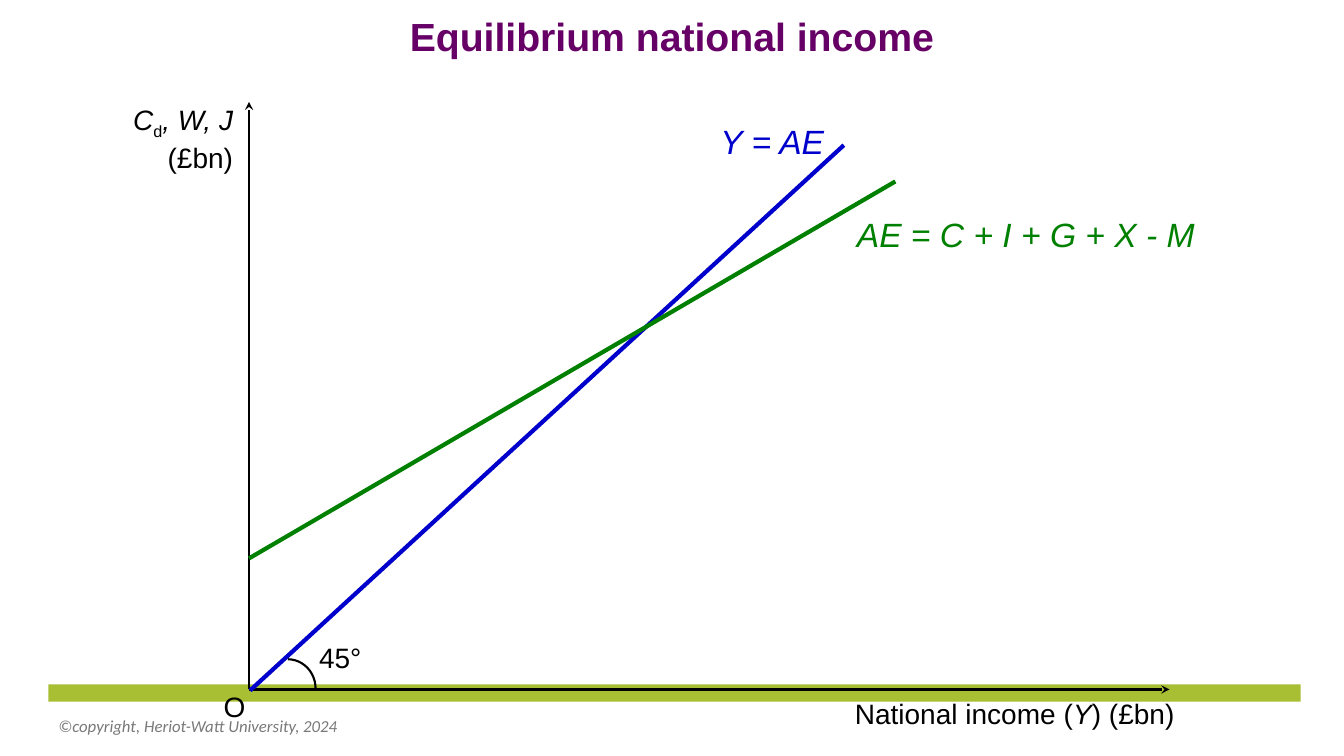
from dataclasses import dataclass

import pptx
import pptx.dml.color
import pptx.enum.shapes
import pptx.enum.text
import pptx.oxml
import pptx.util
from lxml import etree

Inches = pptx.util.Inches
Pt = pptx.util.Pt
Align = pptx.enum.text.PP_ALIGN
Anchor = pptx.enum.text.MSO_ANCHOR
Shape = pptx.enum.shapes.MSO_SHAPE
NS = "http://schemas.openxmlformats.org/drawingml/2006/main"
BLACK, BLUE, GREEN, PURPLE = "000000", "0000CC", "008000", "660066"
LIME, GREY = "A8BF33", "797979"


@dataclass
class Part:
    text: str
    italic: bool = False
    sub: bool = False


@dataclass
class Label:
    box: tuple[float, float, float, float]
    lines: list[list[Part]]
    size: int = 20
    color: str = BLACK
    align: Align = Align.LEFT
    wrap: bool = False
    font: str = "Arial"
    bold: bool = False
    top: float = 0.05
    anchor: Anchor = Anchor.TOP
    grow: bool = True


@dataclass
class Line:
    start: tuple[float, float]
    end: tuple[float, float]
    color: str
    width: float
    arrow: bool = False


def rgb(code: str) -> pptx.dml.color.RGBColor:
    return pptx.dml.color.RGBColor.from_string(code)


def draw_line(slide, line: Line) -> None:
    ends = [Inches(v) for v in line.start + line.end]
    item = slide.shapes.add_connector(
        pptx.enum.shapes.MSO_CONNECTOR.STRAIGHT, *ends)
    item.line.color.rgb = rgb(line.color)
    item.line.width = Pt(line.width)
    if line.arrow:
        tail = etree.SubElement(item.line._get_or_add_ln(), f"{{{NS}}}tailEnd")
        tail.set("type", "stealth")
    etree.SubElement(item._element.spPr, f"{{{NS}}}effectLst")


def draw_label(slide, label: Label):
    item = slide.shapes.add_textbox(*[Inches(v) for v in label.box])
    frame = item.text_frame
    frame.word_wrap = label.wrap
    frame.margin_top = Inches(label.top)
    frame.vertical_anchor = label.anchor
    size = pptx.enum.text.MSO_AUTO_SIZE
    frame.auto_size = size.SHAPE_TO_FIT_TEXT if label.grow else size.NONE
    for i, parts in enumerate(label.lines):
        para = frame.add_paragraph() if i else frame.paragraphs[0]
        para.alignment = label.align
        for part in parts:
            run = para.add_run()
            run.text = part.text
            run.font.name = label.font
            run.font.size = Pt(label.size)
            run.font.bold = label.bold
            run.font.italic = part.italic
            run.font.color.rgb = rgb(label.color)
            if part.sub:
                run._r.get_or_add_rPr().set("baseline", "-25000")
    return item


def add_glow(item) -> None:
    """Give the text of a label a small dark shadow."""
    glow = pptx.oxml.parse_xml(
        f'<a:effectLst xmlns:a="{NS}">'
        '<a:outerShdw dist="38100" dir="2700000" algn="tl">'
        '<a:srgbClr val="000000"/></a:outerShdw></a:effectLst>')
    props = item.text_frame.paragraphs[0].runs[0]._r.get_or_add_rPr()
    props.find(f"{{{NS}}}solidFill").addnext(glow)


def draw_band(slide) -> None:
    band = slide.shapes.add_shape(
        Shape.RECTANGLE, *[Inches(v) for v in (0.48, 6.79, 12.42, 0.17)])
    band.shadow.inherit = False
    band.fill.solid()
    band.fill.fore_color.rgb = rgb(LIME)
    band.line.fill.background()


def draw_arc(slide) -> None:
    arc = slide.shapes.add_shape(
        Shape.ARC, *[Inches(v) for v in (2.58, 6.54, 0.55, 0.58)])
    arc.shadow.inherit = False
    arc.fill.background()
    arc.line.color.rgb = rgb(BLACK)
    arc.line.width = Pt(1.5)


ZERO = (2.47, 6.84)
LINES = [
    Line(ZERO, (2.47, 1.01), BLACK, 2, arrow=True),
    Line(ZERO, (11.6, 6.84), BLACK, 2, arrow=True),
    Line((2.48, 6.85), (8.37, 1.44), BLUE, 3),
    Line((2.47, 5.54), (8.88, 1.8), GREEN, 3),
]
LABELS = [
    Label((0.48, 7, 4.5, 0.4),
          [[Part("©copyright, Heriot-Watt University, 2024", True)]],
          12, GREY, wrap=True, font="Calibri", anchor=Anchor.MIDDLE,
          grow=False),
    Label((2.12, 6.79, 0.42, 0.44), [[Part("O")]]),
    Label((8.38, 6.86, 3.44, 0.46),
          [[Part("National income ("), Part("Y", True), Part(") (£bn)")]],
          wrap=True),
    Label((1.09, 0.97, 1.32, 0.77),
          [[Part("C", True), Part("d", sub=True), Part(", W, J", True)],
           [Part("(£bn)")]],
          align=Align.RIGHT, wrap=True),
    Label((7.04, 1.15, 1.24, 0.51), [[Part("Y = AE", True)]],
          24, BLUE, Align.CENTER),
    Label((8.37, 2.07, 3.61, 0.51), [[Part("AE = C + I + G + X - M", True)]],
          24, GREEN, Align.CENTER),
    Label((3.06, 6.31, 0.63, 0.44), [[Part("45°")]], align=Align.CENTER),
]
TITLE = Label((0, 0.02, 13.33, 0.62), [[Part("Equilibrium national income")]],
              28, PURPLE, Align.CENTER, wrap=True, bold=True, top=0.1)


def main() -> None:
    deck = pptx.Presentation()
    deck.slide_width, deck.slide_height = Inches(13.33), Inches(7.5)
    slide = deck.slides.add_slide(deck.slide_layouts[6])
    draw_band(slide)
    for line in LINES:
        draw_line(slide, line)
    for label in LABELS:
        draw_label(slide, label)
    add_glow(draw_label(slide, TITLE))
    draw_arc(slide)
    deck.save("out.pptx")


if __name__ == "__main__":
    main()
